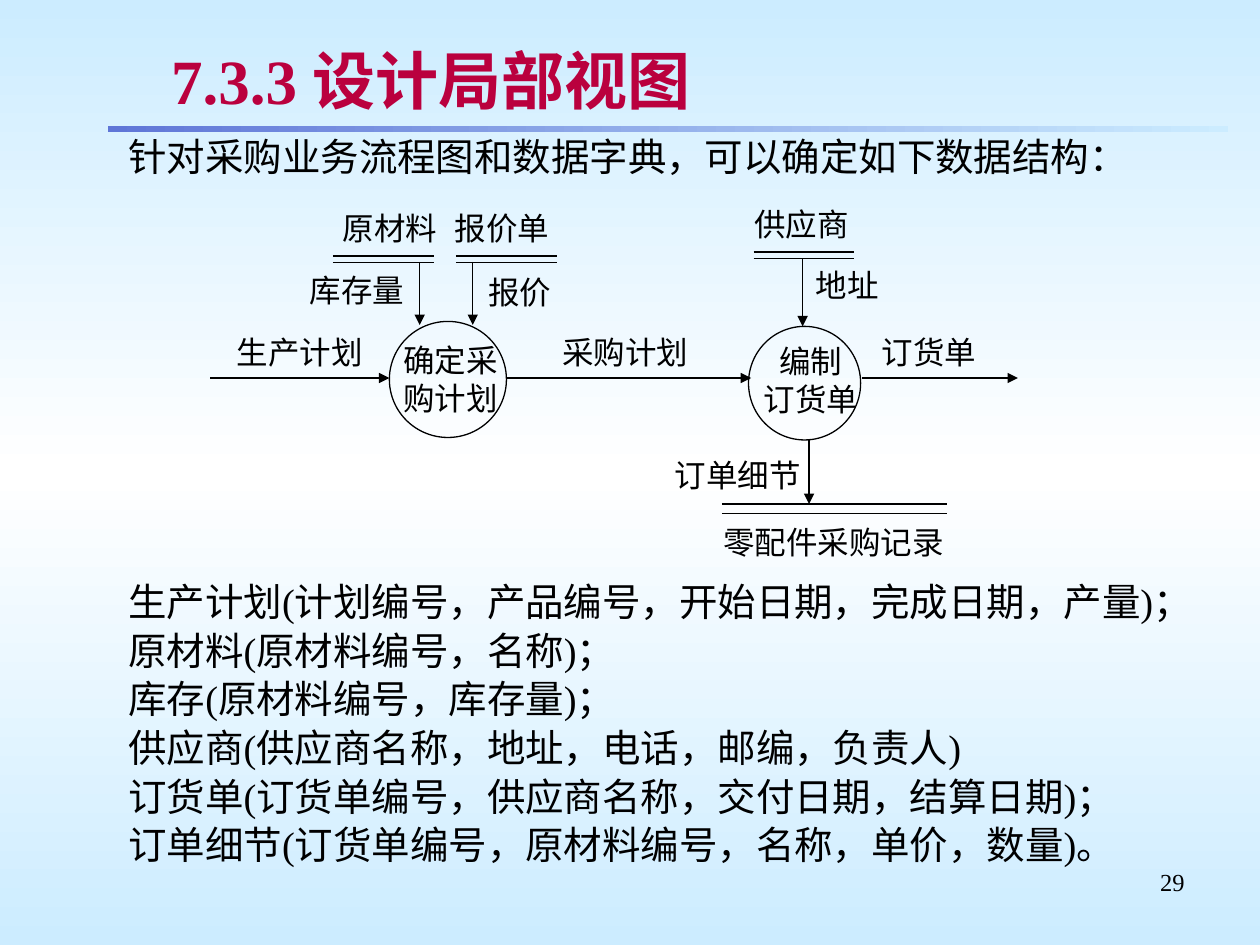
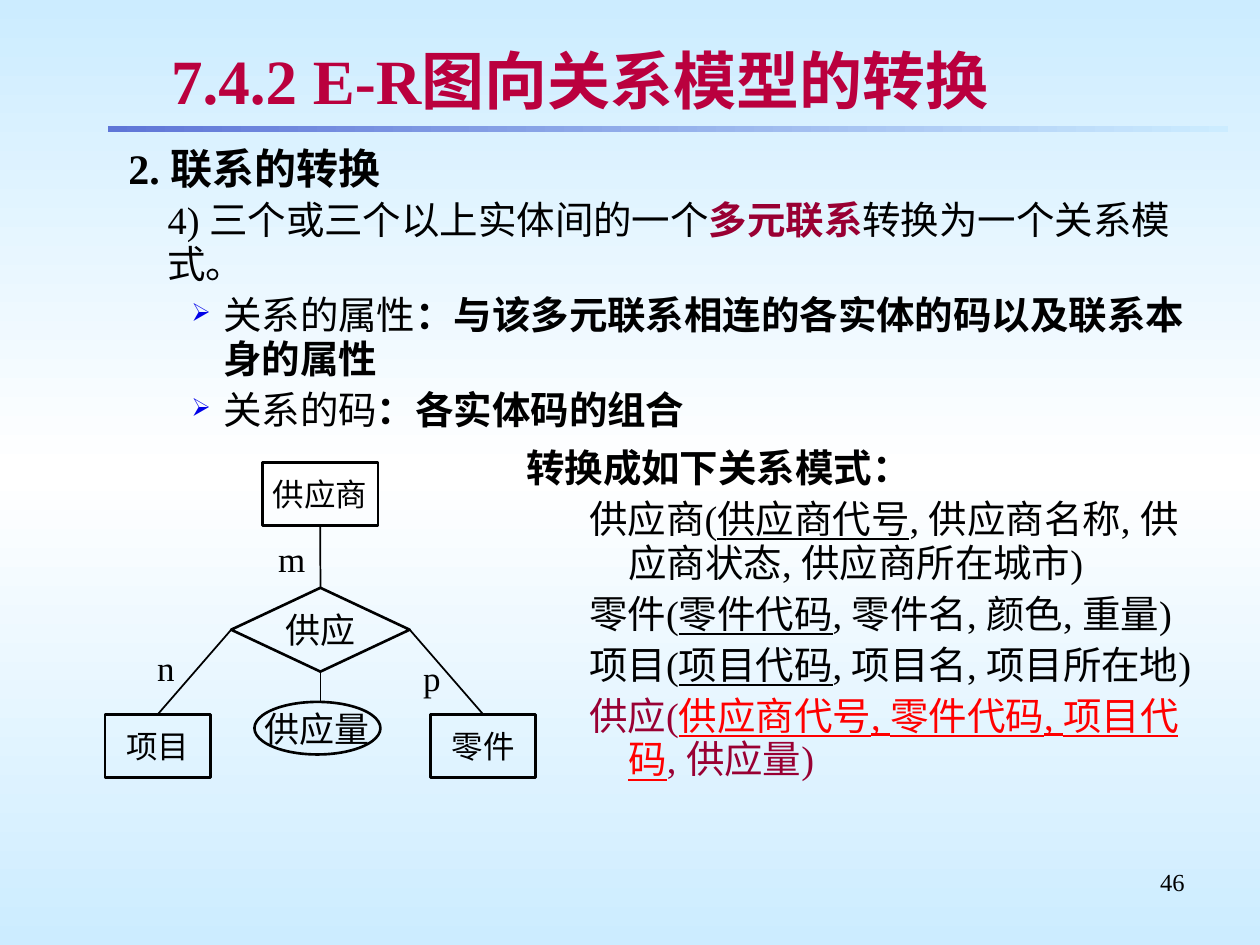
from copy import deepcopy

from lxml.etree import SubElement
from pptx import Presentation
from pptx.dml.color import RGBColor
from pptx.enum.shapes import MSO_CONNECTOR, MSO_SHAPE as SHAPE
from pptx.enum.text import MSO_ANCHOR as ANCHOR, PP_ALIGN as ALIGN
from pptx.oxml import parse_xml
from pptx.oxml.ns import nsdecls, qn
from pptx.util import Cm, Pt

COLORS = {
    "sky": "CCECFF", "white": "FFFFFF", "band": "5F76D7", "title": "BA003E",
    "ink": "000000", "wine": "990033", "red": "FF0000", "bullet": "0000E8",
}
SERIF, SANS = "Times New Roman", "Arial"

# Paragraph styles: left margin and first-line indent in cm
HEADING = dict(margin=0.97, indent=-0.97)
HANGING = dict(margin=2.06, indent=-0.79)
BLOCK = dict(margin=2.06, indent=0)
BULLET = dict(margin=3.18, indent=-0.64, bullet="➢")


def rgb(name):
    return RGBColor.from_string(COLORS[name])


class Deck:
    """Holds the shared style and the slide being built."""

    def __init__(self):
        self.prs = Presentation()
        self.prs.slide_width, self.prs.slide_height = Cm(25.4), Cm(19.05)
        self.slide = None

    def new_slide(self, title, number):
        self.slide = self.prs.slides.add_slide(self.prs.slide_layouts[6])
        self.gradient(self.slide, self.slide.background.fill, 270,
                      ["sky", "white", "sky"])
        band = self.shape(SHAPE.RECTANGLE, 2.18, 2.54, 22.58, 0.13)
        self.gradient(band, band.fill, 0, ["band", "sky"])
        band.line.fill.background()
        self.text(18.21, 17.35, 5.92, 1.32, [str(number)], size=14,
                  align=ALIGN.RIGHT)
        heading = self.text(3.2, 0.74, 20.93, 1.7, [title], size=36,
                            color="title", bold=True, anchor=ANCHOR.MIDDLE)
        self.text_shadow(heading)

    def gradient(self, owner, fill, angle, names):
        fill.gradient()
        fill.gradient_angle = angle
        stop_list = owner.element.find(".//" + qn("a:gsLst"))
        while len(stop_list) < len(names):
            stop_list.append(deepcopy(stop_list[-1]))
        for i, (stop, name) in enumerate(zip(fill.gradient_stops, names)):
            stop.position = i / (len(names) - 1)
            stop.color.rgb = rgb(name)

    def text_shadow(self, box):
        run = box.text_frame.paragraphs[0].runs[0]
        run.font.color.rgb = rgb("title")
        run.font.fill._xPr.find(qn("a:solidFill")).addnext(parse_xml(
            f'<a:effectLst {nsdecls("a")}><a:outerShdw dist="35921" dir="2700000">'
            '<a:srgbClr val="C0C0C0"/></a:outerShdw></a:effectLst>'))

    def text(self, left, top, width, height, paragraphs, anchor=ANCHOR.TOP, **style):
        box = self.slide.shapes.add_textbox(Cm(left), Cm(top), Cm(width), Cm(height))
        box.text_frame.word_wrap = True
        self.fill_text(box.text_frame, paragraphs, anchor, **style)
        return box

    def fill_text(self, frame, paragraphs, anchor, **style):
        """Each paragraph is a string or (runs, overrides of the style)."""
        frame.vertical_anchor = anchor
        for i, item in enumerate(paragraphs):
            runs, extra = ([item], {}) if isinstance(item, str) else item
            line = frame.paragraphs[0] if i == 0 else frame.add_paragraph()
            self.paragraph(line, runs, **{**style, **extra})

    def paragraph(self, line, runs, size=18, font=SERIF, color="ink", bold=None,
                  align=ALIGN.LEFT, spacing=None, before=None, margin=0, indent=0,
                  bullet=None):
        line.alignment = align
        line.font.size, line.font.name, line.font.bold = Pt(size), font, bold
        line.font.color.rgb = rgb(color)
        if spacing:
            line.line_spacing = spacing
        if before:
            line.space_before = Pt(before)
        props = line._p.get_or_add_pPr()
        props.set("marL", str(Cm(margin)))
        props.set("indent", str(Cm(indent)))
        if bullet:
            defaults = props.find(qn("a:defRPr"))
            for xml in (f'<a:buClr {nsdecls("a")}><a:srgbClr val="{COLORS["bullet"]}"/>'
                        '</a:buClr>',
                        f'<a:buSzPct {nsdecls("a")} val="65000"/>',
                        f'<a:buChar {nsdecls("a")} char="{bullet}"/>'):
                defaults.addprevious(parse_xml(xml))
        for item in runs:
            words, look = (item, {}) if isinstance(item, str) else item
            run = line.add_run()
            run.text = words
            for key, value in look.items():
                if key == "color":
                    run.font.color.rgb = rgb(value)
                else:
                    setattr(run.font, key, value)

    def shape(self, kind, left, top, width, height, label=None, size=18, weight=0.75):
        item = self.slide.shapes.add_shape(kind, Cm(left), Cm(top), Cm(width), Cm(height))
        item.shadow.inherit = False
        item.fill.background()
        item.line.color.rgb = rgb("ink")
        item.line.width = Pt(weight)
        if label:
            item.text_frame.word_wrap = False
            self.fill_text(item.text_frame, [label], ANCHOR.MIDDLE, size=size,
                           font=SANS, align=ALIGN.CENTER)
        return item

    def line(self, x1, y1, x2, y2, arrow=False, weight=0.75):
        link = self.slide.shapes.add_connector(
            MSO_CONNECTOR.STRAIGHT, Cm(x1), Cm(y1), Cm(x2), Cm(y2))
        link.line.color.rgb = rgb("ink")
        link.line.width = Pt(weight)
        if arrow:
            SubElement(link.line._get_or_add_ln(), qn("a:tailEnd"), type="triangle")
        SubElement(link.element.spPr, qn("a:effectLst"))
        return link

    def join(self, start, start_side, end, end_side):
        link = self.line(0, 0, 1, 1, weight=1)
        link.begin_connect(start, start_side)
        link.end_connect(end, end_side)

    def data_store(self, left, top, width, gap):
        for y in (top, top + gap):
            self.line(left, y, left + width, y)


def local_views(deck):
    deck.new_slide("7.3.3 设计局部视图", 29)
    deck.text(1.07, 2.74, 23.5, 1.07,
              ["针对采购业务流程图和数据字典，可以确定如下数据结构："],
              size=22, spacing=0.8, before=4.1, **HANGING)

    # Processes and data stores
    for process in ((7.85, 6.48, 2.36, 2.34), (15.09, 6.58, 2.26, 2.29)):
        deck.shape(SHAPE.OVAL, *process)
    for store in ((6.71, 5.16, 2.03, 0.13), (9.19, 5.16, 2.03, 0.13),
                  (15.19, 5.08, 2.03, 0.13), (14.55, 10.16, 4.55, 0.19)):
        deck.data_store(*store)

    # Data flows
    for x, y1, y2 in ((8.46, 5.28, 6.55), (9.53, 5.28, 6.55),
                      (16.18, 5.23, 6.58), (16.31, 8.84, 10.16)):
        deck.line(x, y1, x, y2, arrow=True)
    for x1, x2 in ((4.24, 7.85), (10.21, 15.14), (17.37, 20.52)):
        deck.line(x1, 7.62, x2, 7.62, arrow=True)

    # Names in the flow diagram
    for left, top, width, *names in (
            (5.94, 5.33, 2.51, "库存量"), (9.47, 5.38, 2.01, "报价"),
            (6.5, 4.09, 2.72, "原材料"), (8.76, 4.09, 2.72, "报价单"),
            (7.72, 6.76, 2.72, "确定采购计划"), (14.91, 6.78, 2.87, "编制", "订货单"),
            (4.45, 6.58, 3.18, "生产计划"), (11.02, 6.58, 3.18, "采购计划"),
            (17.37, 6.58, 2.72, "订货单"), (13.28, 9.07, 3.18, "订单细节"),
            (14.33, 10.41, 4.95, "零配件采购记录")):
        deck.text(left, top, width, len(names), names, align=ALIGN.CENTER)
    deck.text(14.96, 4.01, 2.72, 1, ["供应商"])
    deck.text(16.2, 5.23, 2.01, 1, ["地址"])

    # Data structures
    deck.text(1.07, 11.63, 23.5, 5.92, [
        "生产计划(计划编号，产品编号，开始日期，完成日期，产量)；",
        "原材料(原材料编号，名称)；",
        "库存(原材料编号，库存量)；",
        "供应商(供应商名称，地址，电话，邮编，负责人)",
        "订货单(订货单编号，供应商名称，交付日期，结算日期)；",
        "订单细节(订货单编号，原材料编号，名称，单价，数量)。",
    ], size=22, spacing=0.9, before=4.1, **HANGING)


def relation_conversion(deck):
    deck.new_slide("7.4.2 E-R图向关系模型的转换", 46)
    strong, key = dict(bold=True), dict(underline=True)
    body = dict(size=22, spacing=0.95, before=4.1)

    # Conversion rule
    deck.text(1.07, 2.74, 23.5, 6.15, [
        (["2. 联系的转换"], dict(HANGING, size=24, bold=True, spacing=1, before=4.5)),
        (["4) 三个或三个以上实体间的一个", ("多元联系", dict(bold=True, color="wine")),
          "转换为一个关系模式。"], BLOCK),
        (["关系的属性", ("：与该多元联系相连的各实体的码以及联系本身的属性", strong)], BULLET),
        (["关系的码", ("：各实体码的组合", strong)], BULLET),
    ], **body)

    # Resulting relation schemas
    schemas = [([f"{name}(", (code, key), rest], HANGING) for name, code, rest in (
        ("供应商", "供应商代号", ", 供应商名称, 供应商状态, 供应商所在城市)"),
        ("零件", "零件代码", ", 零件名, 颜色, 重量)"),
        ("项目", "项目代码", ", 项目名, 项目所在地)"))]
    deck.text(10.36, 8.89, 14.17, 8.69, [
        (["转换成如下关系模式："], dict(HEADING, bold=True)),
        *schemas,
        (["供应(", ("供应商代号, 零件代码, 项目代码", dict(key, color="red")), ", ",
          ("供应量", dict(name=SANS)), ")"], dict(HANGING, color="wine")),
    ], **body)

    # E-R diagram
    project, part = (deck.shape(SHAPE.RECTANGLE, left, 14.4, 2.12, 1.27, name, weight=1.5)
                     for left, name in ((2.12, "项目"), (8.68, "零件")))
    supplier = deck.shape(SHAPE.RECTANGLE, 5.29, 9.32, 2.33, 1.27, "供应商", weight=1.5)
    supply = deck.shape(SHAPE.DIAMOND, 4.66, 11.85, 3.6, 1.69, "供应", 20, 1.5)
    deck.shape(SHAPE.OVAL, 5.13, 14.15, 2.54, 1.06, "供应量", 20, 1.5)
    deck.join(supplier, 2, supply, 0)
    deck.join(supply, 1, project, 0)
    deck.join(supply, 3, part, 0)
    deck.line(6.46, 13.54, 6.46, 14.17, weight=1).begin_connect(supply, 2)
    for left, top, degree in ((5.36, 10.72, "m"), (2.92, 12.9, "n"), (8.28, 13.11, "p")):
        deck.text(left, top, 1.07, 1.12, [degree], size=20)


def main():
    deck = Deck()
    local_views(deck)
    relation_conversion(deck)
    deck.prs.save("out.pptx")


if __name__ == "__main__":
    main()
